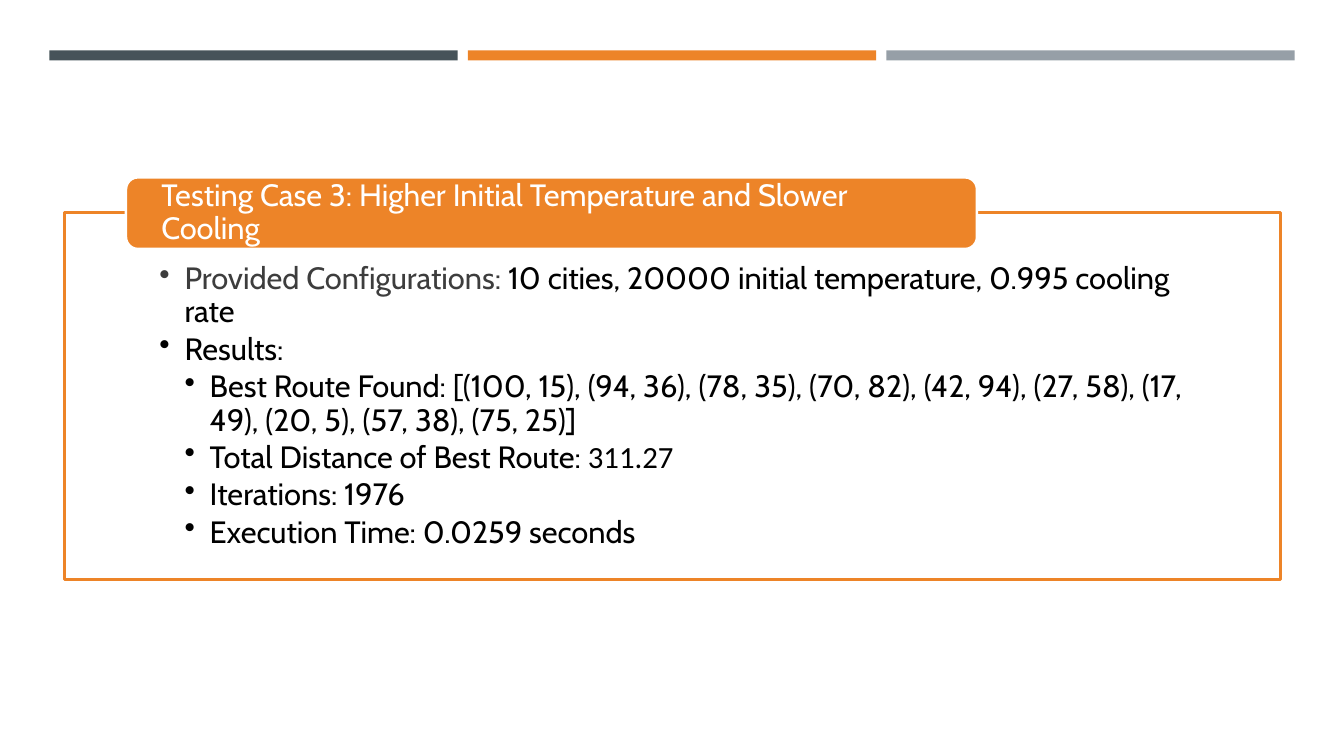
from lxml import etree
from pptx import Presentation
from pptx import util as u
from pptx.dml.color import RGBColor
from pptx.enum import shapes, text
from pptx.oxml import ns

SLATE = RGBColor(0x46, 0x53, 0x59)
ORANGE = RGBColor(0xED, 0x84, 0x28)
GREY = RGBColor(0x96, 0x9F, 0xA7)
CHARCOAL = RGBColor(0x3D, 0x3D, 0x3D)
BLACK = RGBColor(0, 0, 0)
WHITE = RGBColor(255, 255, 255)

TITLE = "Testing Case 3: Higher Initial Temperature and Slower Cooling"
RESULTS = [
    (0, [("Provided Configurations: ", "Cabin", CHARCOAL),
         ("10 cities, 20000 initial temperature, 0.995 cooling rate", "Cabin", BLACK)]),
    (0, [("Results:", "Cabin", BLACK)]),
    (1, [("Best Route Found: [(100, 15), (94, 36), (78, 35), (70, 82), (42, 94), "
          "(27, 58), (17, 49), (20, 5), (57, 38), (75, 25)]", "Cabin", BLACK)]),
    (1, [("Total Distance of Best Route: ", "Cabin", BLACK),
         ("311.27", "Calibri", BLACK)]),
    (1, [("Iterations: 1976", "Cabin", BLACK)]),
    (1, [("Execution Time: 0.0259 seconds", "Cabin", BLACK)]),
]


class CaseSlide:
    size = u.Pt(22)
    line_width = u.Pt(1.75)
    line_spacing = 0.9
    indent = 0.25

    def __init__(self, deck):
        self.page = deck.slides.add_slide(deck.slide_layouts[5])

    def box(self, kind, place, fill, line=None):
        box = self.page.shapes.add_shape(kind, *map(u.Inches, place))
        box.shadow.inherit = False
        box.fill.solid()
        box.fill.fore_color.rgb = fill
        if line is None:
            box.line.fill.background()
        else:
            box.line.color.rgb = line
            box.line.width = self.line_width
        return box

    def frame(self, box, margins, anchor):
        frame = box.text_frame
        frame.word_wrap = True
        frame.auto_size = text.MSO_AUTO_SIZE.NONE
        frame.vertical_anchor = anchor
        (frame.margin_left, frame.margin_top,
         frame.margin_right, frame.margin_bottom) = map(u.Inches, margins)
        return frame

    def title(self, words, place):
        title = self.page.shapes.title
        self.page.shapes._spTree.append(title._element)
        title.left, title.top, title.width, title.height = map(u.Inches, place)
        frame = self.frame(title, (0.32, 0, 0.32, 0), text.MSO_ANCHOR.MIDDLE)
        frame.text = words
        para = frame.paragraphs[0]
        para.alignment = text.PP_ALIGN.LEFT
        para.line_spacing = self.line_spacing
        para.font.size = self.size
        para.font.name = "Cabin"
        para.font.color.rgb = WHITE

    def bullets(self, box, items):
        frame = self.frame(box, (0.94, 0.5, 0.94, 0.17), text.MSO_ANCHOR.TOP)
        for number, (level, spans) in enumerate(items):
            para = frame.add_paragraph() if number else frame.paragraphs[0]
            para.level = level
            para.alignment = text.PP_ALIGN.LEFT
            para.line_spacing = self.line_spacing
            para.space_after = u.Pt(3)
            para.font.size = self.size
            properties = para._p.get_or_add_pPr()
            properties.set("marL", str(u.Inches(self.indent * (level + 1))))
            properties.set("indent", str(-u.Inches(self.indent)))
            bullet = etree.Element(ns.qn("a:buChar"), char="•")
            properties.find(ns.qn("a:defRPr")).addprevious(bullet)
            for words, font, color in spans:
                span = para.add_run()
                span.text = words
                span.font.size = self.size
                span.font.name = font
                span.font.color.rgb = color


def main():
    deck = Presentation()
    deck.slide_width, deck.slide_height = u.Inches(13.33), u.Inches(7.5)
    slide = CaseSlide(deck)
    rectangle = shapes.MSO_SHAPE.RECTANGLE

    for column, color in enumerate((SLATE, ORANGE, GREY)):
        slide.box(rectangle, (0.49 + 4.15 * column, 0.5, 4.05, 0.1), color)

    panel = slide.box(rectangle, (0.64, 2.11, 12.06, 3.64), WHITE, ORANGE)
    panel_color = panel.fill._xPr.find(ns.qn("a:solidFill"))[0]
    etree.SubElement(panel_color, ns.qn("a:alpha"), val="90000")
    slide.bullets(panel, RESULTS)

    slide.box(shapes.MSO_SHAPE.ROUNDED_RECTANGLE, (1.25, 1.76, 8.44, 0.71), ORANGE, WHITE)
    slide.title(TITLE, (1.28, 1.79, 8.37, 0.64))
    deck.save("out.pptx")


if __name__ == "__main__":
    main()
